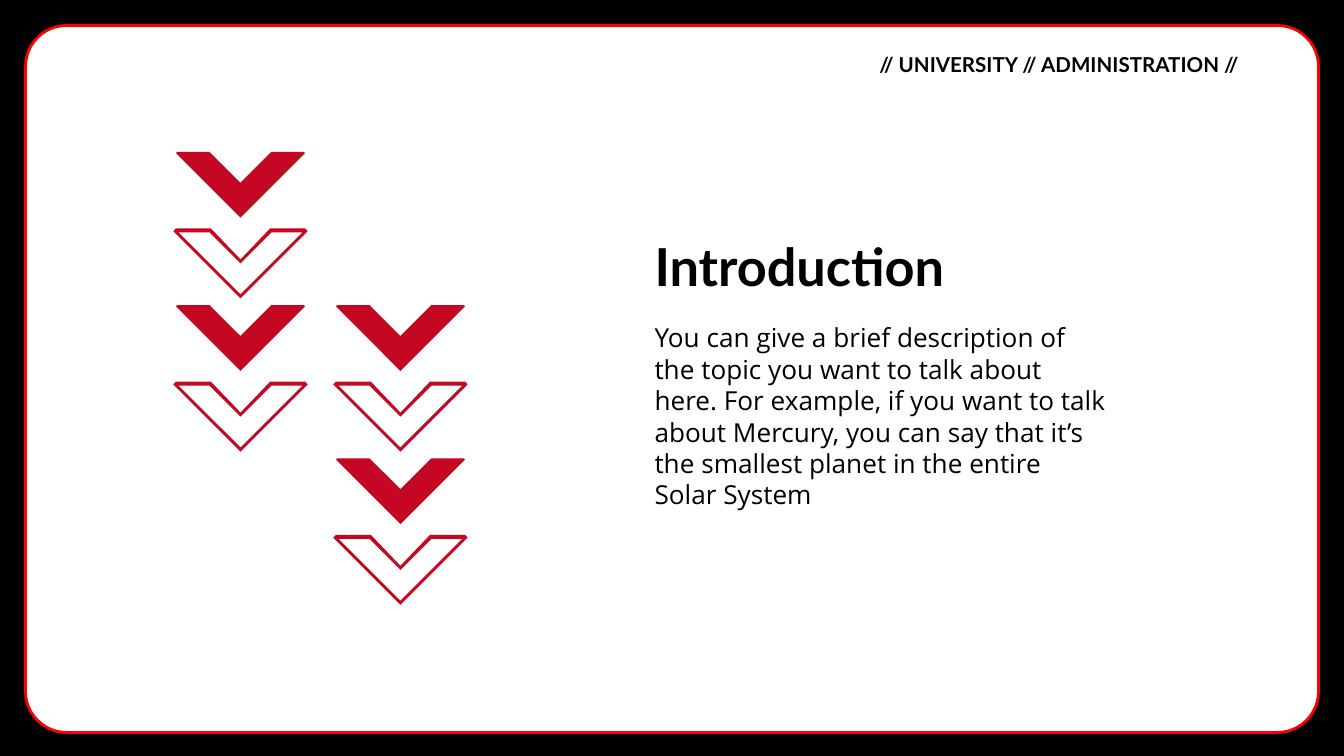
import pptx
import pptx.util
import pptx.dml.color
import pptx.enum.shapes
import pptx.enum.text
from pptx.util import Inches

COLORS = {"back": "000000", "panel": "FFFFFF", "frame": "FF0000",
          "text": "000000", "chevron": "C40722"}
ALIGN = pptx.enum.text.PP_ALIGN

# Right half of each chevron contour, from the bottom tip to the notch
SOLID = [[(0, 0.49), (0.48, 0.01), (0.47, 0), (0.23, 0), (0, 0.23)]]
OUTLINE = [[(0, 0.49), (0.46, 0.03), (0.23, 0.03), (0, 0.26)],
           [(0, 0.52), (0.5, 0.02), (0.48, 0), (0.22, 0), (0, 0.23)]]


def rgb(name):
    return pptx.dml.color.RGBColor.from_string(COLORS[name])


def write(sp, text, font="Lato", size=14, bold=False, align=ALIGN.LEFT,
          side=0.1):
    tf = sp.text_frame
    tf.word_wrap = True
    tf.auto_size = pptx.enum.text.MSO_AUTO_SIZE.NONE
    tf.vertical_anchor = pptx.enum.text.MSO_ANCHOR.MIDDLE
    tf.margin_left = tf.margin_right = Inches(side)
    tf.margin_top = tf.margin_bottom = Inches(0.1)
    p = tf.paragraphs[0]
    p.alignment = align
    p.space_before = pptx.util.Pt(0)
    p.line_spacing = 1.0
    r = p.add_run()
    r.text = text
    r.font.name = font
    r.font.size = pptx.util.Pt(size)
    r.font.bold = bold
    r.font.color.rgb = rgb("text")


class Deck:
    def __init__(self, prs):
        self.s = prs.slides.add_slide(prs.slide_layouts[0])
        fill = self.s.background.fill
        fill.solid()
        fill.fore_color.rgb = rgb("back")

    def panel(self, x, y, w, h):
        sp = self.s.shapes.add_shape(
            pptx.enum.shapes.MSO_SHAPE.ROUNDED_RECTANGLE,
            Inches(x), Inches(y), Inches(w), Inches(h))
        sp.adjustments[0] = 0.058
        sp.shadow.inherit = False
        sp.fill.solid()
        sp.fill.fore_color.rgb = rgb("panel")
        sp.line.color.rgb = rgb("frame")
        sp.line.width = pptx.util.Pt(1.5)
        # Send behind the placeholders
        sp._element.getparent().insert(2, sp._element)

    def placeholder(self, idx, x, y, w, h, text, **style):
        sp = self.s.placeholders[idx]
        sp.left, sp.top, sp.width, sp.height = map(Inches, (x, y, w, h))
        write(sp, text, **style)

    def label(self, x, y, w, h, text, **style):
        sp = self.s.shapes.add_textbox(*map(Inches, (x, y, w, h)))
        write(sp, text, **style)

    def chevron(self, group, cx, top, halves):
        builder = None
        for half in halves:
            mirrored = [(-x, y) for x, y in half[-2:0:-1]]
            pts = [(Inches(cx + x), Inches(top + y)) for x, y in half + mirrored]
            if builder is None:
                builder = group.shapes.build_freeform(*pts[0])
            else:
                builder.move_to(*pts[0])
            builder.add_line_segments(pts[1:], close=True)
        sp = builder.convert_to_shape()
        sp.shadow.inherit = False
        sp.fill.solid()
        sp.fill.fore_color.rgb = rgb("chevron")
        sp.line.fill.background()

    def chevron_columns(self, columns, pitch=1.14, gap=0.57):
        group = self.s.shapes.add_group_shape()
        for cx, top in columns:
            for i in range(2):
                self.chevron(group, cx, top + i * pitch, SOLID)
                self.chevron(group, cx, top + i * pitch + gap, OUTLINE)


def main():
    prs = pptx.Presentation()
    prs.slide_width = Inches(10)
    prs.slide_height = prs.slide_width * 9 // 16
    deck = Deck(prs)

    # Framed panel
    deck.panel(0.19, 0.19, 9.62, 5.26)

    # Title and description
    deck.placeholder(0, 4.77, 1.69, 3.58, 0.57, "Introduction",
                     size=28, bold=True)
    deck.placeholder(
        1, 4.77, 2.26, 3.58, 1.67,
        "You can give a brief description of the topic you want to talk about "
        "here. For example, if you want to talk about Mercury, you can say "
        "that it’s the smallest planet in the entire Solar System",
        font="Open Sans")

    # Chevron columns
    deck.chevron_columns([(1.79, 1.13), (2.98, 2.27)])

    # Header
    deck.label(3.95, 0.37, 5.27, 0.22, "// UNIVERSITY // ADMINISTRATION //",
               size=11, bold=True, align=ALIGN.RIGHT, side=0)

    prs.save("out.pptx")


if __name__ == "__main__":
    main()
